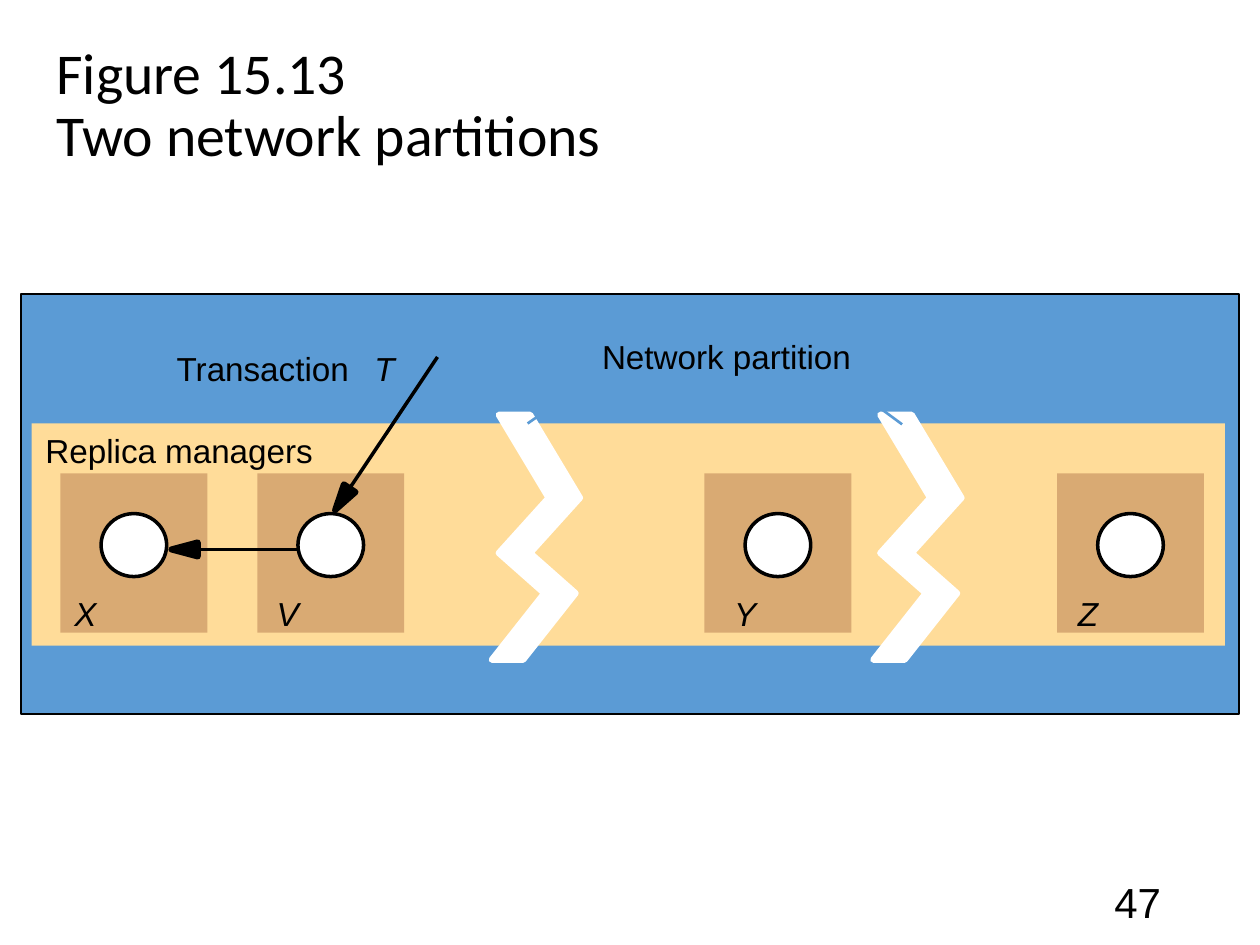
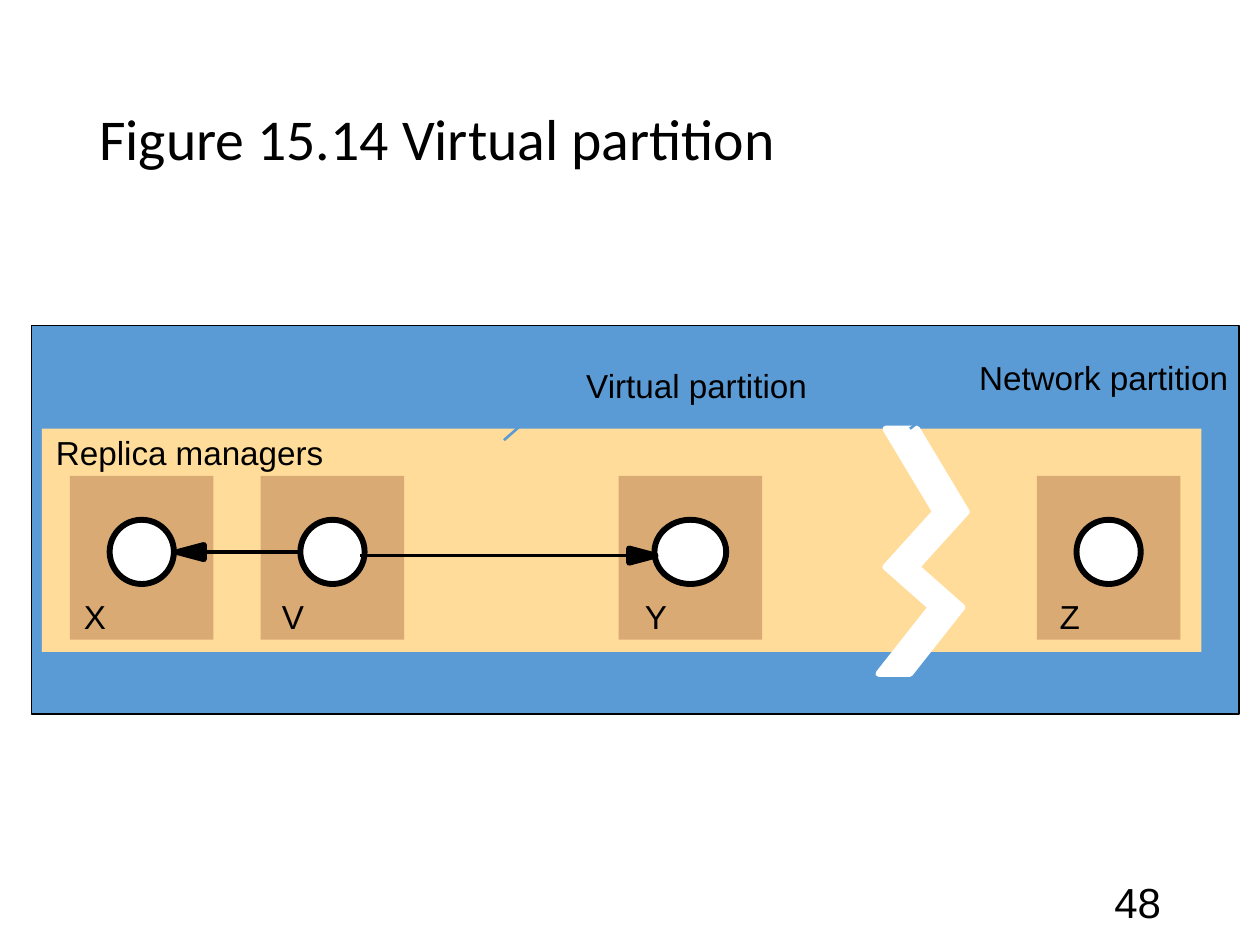
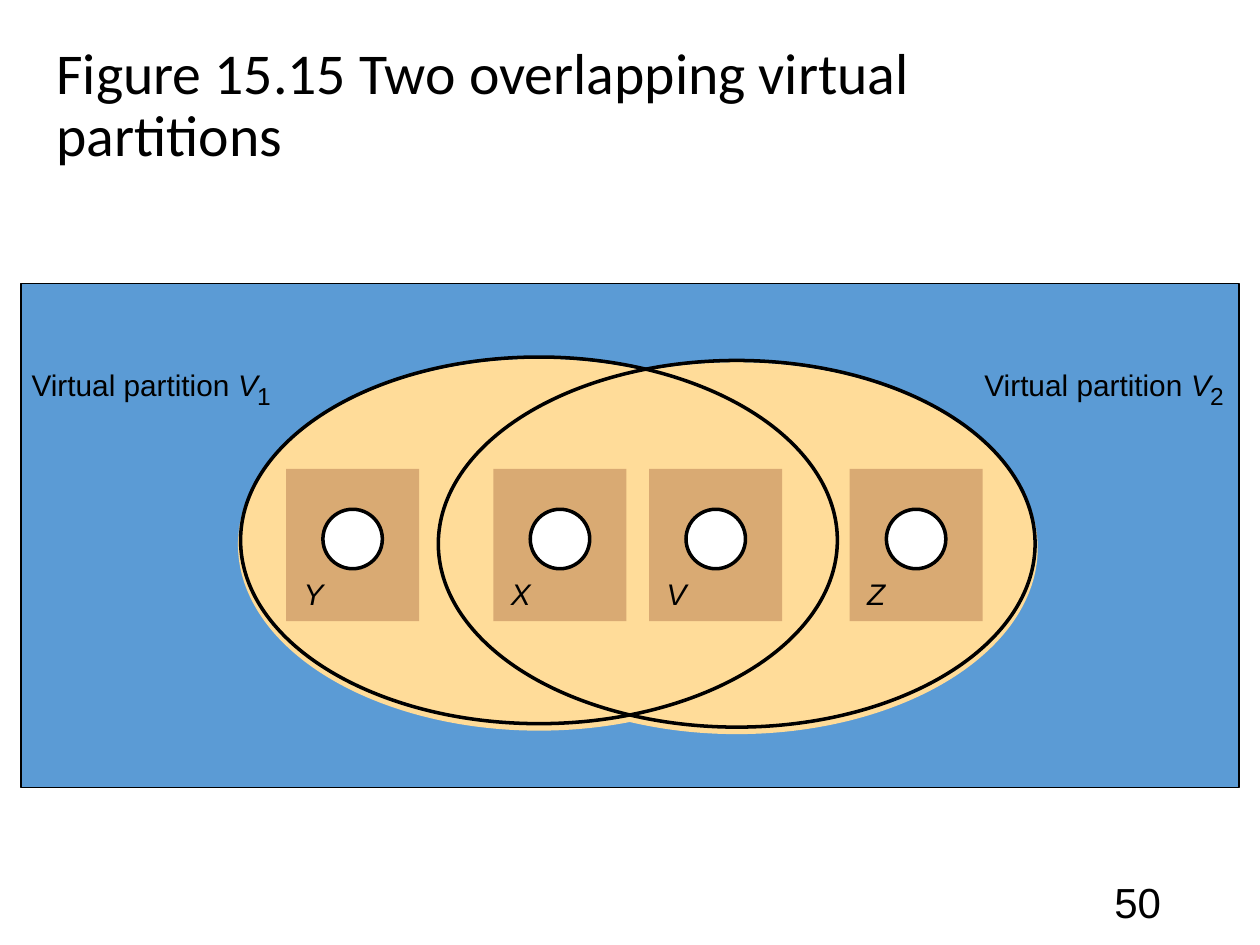
from dataclasses import dataclass
from math import hypot
from pptx import Presentation
from pptx import util as u
from pptx.dml import color
from pptx.enum import shapes, text
from pptx.oxml import ns
from lxml import etree

Pt = u.Pt
RECT, OVAL = shapes.MSO_SHAPE.RECTANGLE, shapes.MSO_SHAPE.OVAL


@dataclass(frozen=True)
class Theme:
    ink: str = "000000"
    paper: str = "FFFFFF"
    sea: str = "5B9BD5"
    sand: str = "FFDC99"
    tan: str = "D9AA73"
    head: str = "Calibri"
    body: str = "Arial"
    big: float = 33
    page: float = 24
    label: float = 19
    small: float = 17
    sub: float = 14


T = Theme()
HIGH = (25, 4.5, 575, 113)          # title places
LOW = (49.5, 29, 621, 104)
ZIG = [(0, 0), (28.5, 47.5), (0, 79), (26, 102), (-4, 140)]
RIBBON = 18                         # width of a break

# Content: lengths in points
# nodes: letter, box left, inset of letter; ring: width, height, drop from box top
FIGURES = [
    dict(
        title="Figure 15.13\vTwo network partitions", spot=HIGH, page="47",
        panel=(12, 168, 696, 240), band=(18, 242, 682, 127),
        top=270.5, box=(84, 91), ring=(37.5, 36, 23), rim=2, drop=68.5,
        size=T.label, slant=True,
        nodes=[("X", 34.5, 8), ("V", 147, 11), ("Y", 402.5, 17), ("Z", 604, 12)],
        labels=[("Replica managers", 26, 246), ("Network partition", 344, 192),
                ("Transaction", 101, 199), ("T", 214, 199)],
        arrows=[((250, 204), (191.5, 291.5)), ((170, 314), (98, 314))],
        breaks=[(285, 237), (503, 237)],
        leads=[(477.5, 214.5, 515.5, 242.5), (341, 214.5, 301.5, 242)],
    ),
    dict(
        title="Figure 15.14 Virtual partition", spot=LOW, page="48",
        panel=(18, 186, 690, 222), band=(24, 245, 662.5, 127.5),
        top=272, box=(82, 93.5), ring=(36.7, 36.7, 25), rim=3.38, drop=68.5,
        size=T.label, slant=False, wide={"Y": 41},
        nodes=[("X", 40, 8), ("V", 149, 12), ("Y", 353.5, 15), ("Z", 592.5, 13)],
        labels=[("Replica managers", 32, 247), ("Virtual partition", 335, 209),
                ("Network partition", 559.5, 204)],
        arrows=[((172, 315.5), (101.5, 315.5)), ((206, 317.5), (374.5, 317.5))],
        breaks=[(506, 245)],
        leads=[(324.5, 219.5, 288, 251.5), (520, 245, 554.5, 218)],
    ),
    dict(
        title="Figure 15.15 Two overlapping virtual partitions", spot=HIGH, page="50",
        panel=(12, 162, 696, 288), ovals=[(137.5, 204), (250.5, 206)], oval=(341, 209.5),
        top=268, box=(76, 87), ring=(34, 34, 23), rim=2, drop=61,
        size=T.small, slant=True,
        nodes=[("Y", 163.5, 10), ("X", 282, 10), ("V", 371, 10), ("Z", 485.5, 10)],
        sets=[("1", 18), ("2", 562.5)],
    ),
]


def rgb(hue):
    return color.RGBColor.from_string(hue)


def paint(part, fill=None, line=None, wide=0.75):
    part.shadow.inherit = False
    if fill:
        part.fill.solid()
        part.fill.fore_color.rgb = rgb(fill)
    else:
        part.fill.background()
    if line:
        part.line.color.rgb = rgb(line)
        part.line.width = Pt(wide)
    else:
        part.line.fill.background()
    return part


def form(slide, kind, spot, *look):
    return paint(slide.shapes.add_shape(kind, *map(Pt, spot)), *look)


def outline(slide, dots, hue):
    dots = [(Pt(x), Pt(y)) for x, y in dots]
    pen = slide.shapes.build_freeform(*dots[0], scale=1.0)
    pen.add_line_segments(dots[1:], close=True)
    part = paint(pen.convert_to_shape(), hue, hue, 3.5)
    etree.SubElement(part.line._get_or_add_ln(), ns.qn("a:round"))


def line(slide, ends, hue, wide):
    wire = slide.shapes.add_connector(shapes.MSO_CONNECTOR.STRAIGHT, *map(Pt, ends))
    wire.line.color.rgb = rgb(hue)
    wire.line.width = Pt(wide)
    etree.SubElement(wire._element.spPr, ns.qn("a:effectLst"))


def arrow(slide, tail, tip, long=15, half=4):
    """Line with a drawn head that follows its direction."""
    dx, dy = tip[0] - tail[0], tip[1] - tail[1]
    span = hypot(dx, dy)
    dx, dy = dx / span, dy / span
    x, y = tip[0] - long * dx, tip[1] - long * dy
    outline(slide, [tip, (x - half * dy, y + half * dx), (x + half * dy, y - half * dx)], T.ink)
    line(slide, (*tail, x, y), T.ink, 2)


def style(font, face, size, slant=None):
    font.name, font.size, font.italic = face, Pt(size), slant
    font.color.rgb = rgb(T.ink)


def label(slide, words, left, top, size, slant=None):
    width = size * (0.2 + len(words) / 2)
    frame = slide.shapes.add_textbox(*map(Pt, (left, top, width, size * 1.2))).text_frame
    frame.margin_left = frame.margin_right = frame.margin_top = frame.margin_bottom = 0
    frame.word_wrap = True
    para = frame.paragraphs[0]
    para.text = words
    style(para.font, T.body, size, slant or None)
    return para


def start(deck, fig):
    """Slide with title, page number and blue panel."""
    slide = deck.slides.add_slide(deck.slide_layouts[5])
    title = slide.shapes.title
    title.left, title.top, title.width, title.height = map(Pt, fig["spot"])
    page = slide.shapes.add_textbox(*map(Pt, (508.5, 500.5, 162, 29)))
    for part, words, side, face, size in [
            (title, fig["title"], text.PP_ALIGN.LEFT, T.head, T.big),
            (page, fig["page"], text.PP_ALIGN.RIGHT, T.body, T.page)]:
        frame = part.text_frame
        frame.text = words
        frame.word_wrap = True
        frame.auto_size = text.MSO_AUTO_SIZE.NONE
        frame.vertical_anchor = text.MSO_ANCHOR.MIDDLE
        para = frame.paragraphs[0]
        para.alignment = side
        style(para.font, face, size)
    title.text_frame.paragraphs[0].line_spacing = 0.9
    form(slide, RECT, fig["panel"], T.sea, T.ink)
    return slide


def draw(deck, fig):
    slide = start(deck, fig)
    size, top = fig["size"], fig["top"]
    # Ground: a band or overlapping ovals
    if "band" in fig:
        form(slide, RECT, fig["band"], T.sand)
    for x, y in fig.get("ovals", []):
        form(slide, OVAL, (x, y + 2.5, *fig["oval"]), T.sand, T.sand, 3)
    # Replica managers: the ring is centred in its box
    for name, left, inset in fig["nodes"]:
        width, tall, fall = fig["ring"]
        width = fig.get("wide", {}).get(name, width)
        x = left + (fig["box"][0] - width) / 2
        form(slide, RECT, (left, top, *fig["box"]), T.tan)
        form(slide, OVAL, (x, top + fall, width, tall), T.paper, T.ink, fig["rim"])
        label(slide, name, left + inset, top + fig["drop"], size, fig["slant"])
    # Labels
    for words, x, y in fig.get("labels", []):
        label(slide, words, x, y, size, len(words) == 1)
    for sub, x in fig.get("sets", []):
        run = label(slide, "Virtual partition ", x, 209.5, size).add_run()
        run.text, run.font.italic = "V", True
        label(slide, sub, x + 129, 217.5, T.sub)
    # Arrows, breaks in the network and leader lines
    for tail, tip in fig.get("arrows", []):
        arrow(slide, tail, tip)
    for x, y in fig.get("breaks", []):
        near = [(x + dx, y + dy) for dx, dy in ZIG]
        outline(slide, near + [(a + RIBBON, b) for a, b in reversed(near)], T.paper)
    for ends in fig.get("leads", []):
        line(slide, ends, T.sea, 1.5)
    # Oval rims over everything
    for spot in fig.get("ovals", []):
        form(slide, OVAL, (*spot, *fig["oval"]), None, T.ink, 2)


deck = Presentation()
deck.slide_width, deck.slide_height = Pt(720), Pt(540)
for fig in FIGURES:
    draw(deck, fig)
deck.save("out.pptx")
